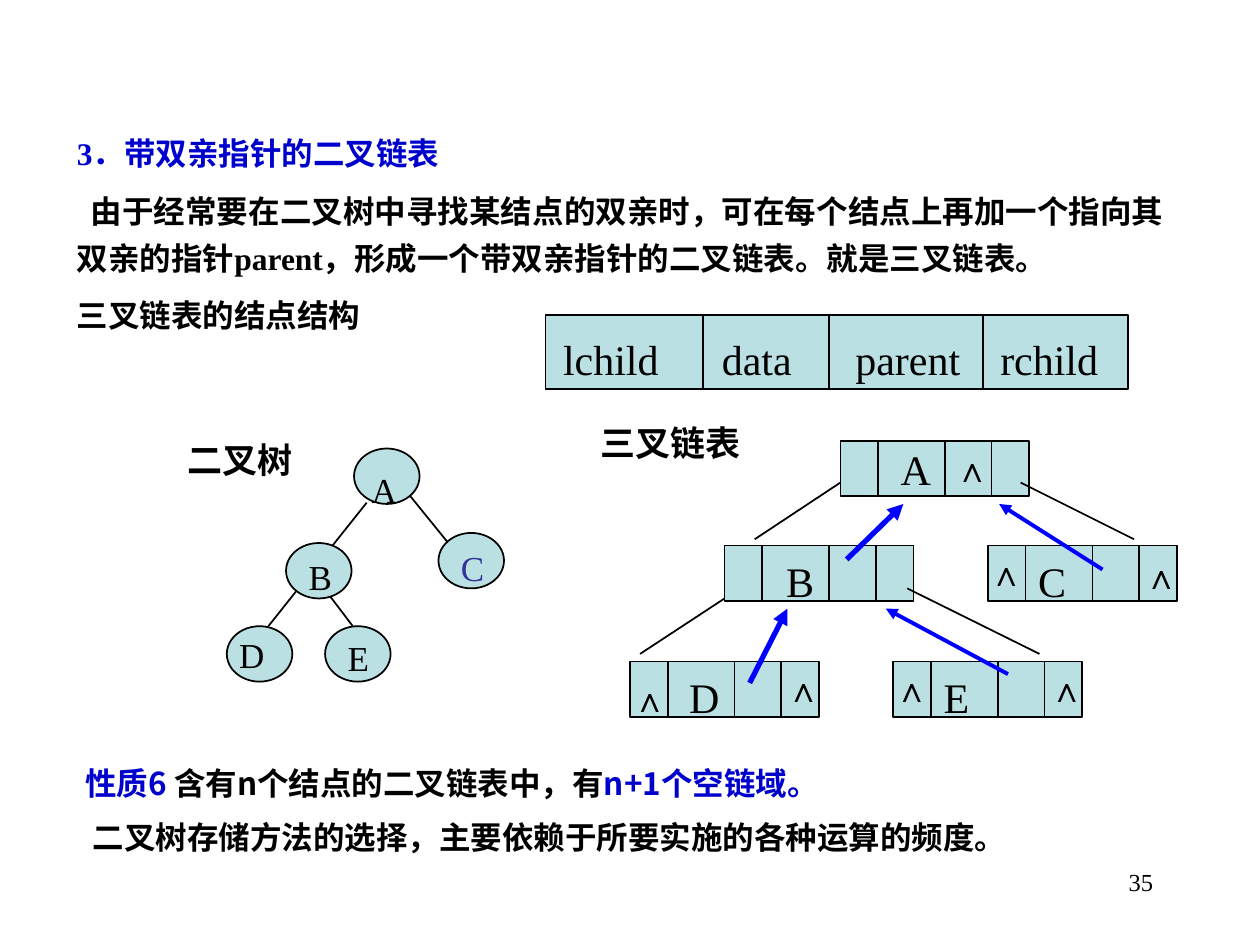
from dataclasses import dataclass

from lxml.etree import SubElement
from pptx import Presentation
from pptx.dml.color import RGBColor
from pptx.enum.shapes import MSO_CONNECTOR as CONN, MSO_SHAPE as SHAPE
from pptx.enum.text import MSO_ANCHOR as ANCHOR, MSO_AUTO_SIZE as AUTOSIZE, PP_ALIGN as ALIGN
from pptx.oxml.ns import qn
from pptx.util import Inches, Pt


@dataclass(frozen=True)
class Theme:
    latin: str = "Times New Roman"
    cjk: str = "Noto Sans CJK SC"
    ink: str = "000000"
    heading: str = "0000CC"
    accent: str = "333399"
    pointer: str = "0000FF"
    fill: str = "BBE0E3"
    cell: int = 24
    label: int = 20
    text: int = 18
    number: int = 14
    leading: int = 27


T = Theme()
WEDGE = "∧"
FIELD_STOPS = (1.25, 2.25, 3.47)
RECORD_STOPS = (0.3, 0.83, 1.2)
RECORD_SIZE = (1.5, 0.44)
RECORDS = [
    ("E", 7.09, 5.25, (0.3, 0.03), [(-0.09, 0), (1.14, 0)]),
    ("D", 5, 5.25, (0.37, 0.03), [(-0.08, 0.08), (1.14, 0)]),
    ("C", 7.84, 4.33, (0.3, 0.03), [(-0.09, 0), (1.14, 0.02)]),
    ("A", 6.67, 3.5, (0.38, -0.03), [(0.81, 0)]),
    ("B", 5.75, 4.33, (0.39, 0.03), []),
]
BRANCHES = [
    (8.1, 3.83, 9, 4.28), (6.67, 3.83, 5.99, 4.28),
    (5.75, 4.75, 5.08, 5.19), (7.2, 4.67, 8.25, 5.19),
]
PARENT_ARROWS = [
    (8.75, 4.52, 7.93, 4, 2.25), (8, 5.35, 7.03, 4.83, 2.25),
    (6.72, 4.44, 7.17, 4, 3), (5.95, 5.42, 6.25, 4.83, 3),
]
TREE_EDGES = [(3.25, 3.93, 3.55, 4.3), (2.91, 3.99, 2.13, 4.97), (2.58, 4.68, 2.8, 4.97)]
TREE_NODES = [
    ("A", 2.81, 3.56, 2.85, 3.67, T.ink),
    ("C", 3.48, 4.23, 3.56, 4.29, T.accent),
    ("D", 1.8, 4.97, 1.8, 4.98, T.ink),
    ("E", 2.58, 4.97, 2.66, 5, T.ink),
    ("B", 2.27, 4.31, 2.35, 4.36, T.ink),
]


def assign(obj, **values):
    for name, value in values.items():
        setattr(obj, name, value)


def place(sp, x, y, w, h):
    assign(sp, left=Inches(x), top=Inches(y), width=Inches(w), height=Inches(h))


def add_run(p, text, size, color=T.ink, bold=False, latin=T.latin):
    r = p.add_run()
    r.text = text
    assign(r.font, size=Pt(size), bold=bold, name=latin)
    r.font.color.rgb = RGBColor.from_string(color)
    SubElement(r.font._element, qn("a:ea")).set("typeface", T.cjk)


def fill_text(sp, paragraphs, align=ALIGN.LEFT):
    tf = sp.text_frame
    assign(tf, word_wrap=True, auto_size=AUTOSIZE.NONE, vertical_anchor=ANCHOR.TOP)
    for i, (indent, before, runs) in enumerate(paragraphs):
        p = tf.add_paragraph() if i else tf.paragraphs[0]
        assign(p, alignment=align, line_spacing=Pt(T.leading), space_before=Pt(before))
        pPr = p._p.get_or_add_pPr()
        pPr.set("marL", "0")
        pPr.set("indent", str(Inches(indent)))
        SubElement(pPr, qn("a:buNone"))
        for text, color, latin in runs:
            add_run(p, text, T.text, color, True, latin)


def add_label(s, text, x, y, w=0.52, h=0.5, size=T.cell, color=T.ink,
              bold=False, align=ALIGN.LEFT, tabs=()):
    sp = s.shapes.add_textbox(*map(Inches, (x, y, w, h)))
    tf = sp.text_frame
    tf.word_wrap = True
    p = tf.paragraphs[0]
    p.alignment = align
    if tabs:
        tab_list = SubElement(p._p.get_or_add_pPr(), qn("a:tabLst"))
        for pos in tabs:
            tab = SubElement(tab_list, qn("a:tab"))
            tab.set("pos", str(Inches(pos)))
            tab.set("algn", "l")
    add_run(p, text, size, color, bold)


def add_box(s, kind, x, y, w, h):
    sp = s.shapes.add_shape(kind, *map(Inches, (x, y, w, h)))
    sp.shadow.inherit = False
    sp.fill.solid()
    sp.fill.fore_color.rgb = RGBColor.from_string(T.fill)
    sp.line.color.rgb = RGBColor.from_string(T.ink)
    sp.line.width = Pt(1)


def add_line(s, x1, y1, x2, y2, width=1, color=T.ink, arrow=False):
    cx = s.shapes.add_connector(CONN.STRAIGHT, *map(Inches, (x1, y1, x2, y2)))
    cx.line.color.rgb = RGBColor.from_string(color)
    cx.line.width = Pt(width)
    if arrow:
        SubElement(cx.line._get_or_add_ln(), qn("a:tailEnd")).set("type", "triangle")
    SubElement(cx._element.spPr, qn("a:effectLst"))


def add_cells(s, x, y, w, h, stops):
    add_box(s, SHAPE.RECTANGLE, x, y, w, h)
    for dx in stops:
        add_line(s, x + dx, y, x + dx, y + h)


def add_record(s, name, x, y, offset, wedges):
    add_cells(s, x, y, *RECORD_SIZE, RECORD_STOPS)
    add_label(s, name, x + offset[0], y + offset[1])
    for dx, dy in wedges:
        add_label(s, WEDGE, x + dx, y + dy, h=0.44, size=T.label, bold=True)


def add_tree(s):
    for edge in TREE_EDGES:
        add_line(s, *edge)
    for name, x, y, text_x, text_y, color in TREE_NODES:
        add_box(s, SHAPE.OVAL, x, y, 0.52, 0.44)
        add_label(s, name, text_x, text_y, h=0.44, size=T.label, color=color)
    add_label(s, "二叉树", 1.39, 3.43, 1.57, size=T.label, bold=True)


def add_linked_list(s):
    for record in RECORDS:
        add_record(s, *record)
    for branch in BRANCHES:
        add_line(s, *branch)
    for x1, y1, x2, y2, width in PARENT_ARROWS:
        add_line(s, x1, y1, x2, y2, width, T.pointer, arrow=True)
    add_label(s, "三叉链表", 4.67, 3.3, 1.67, 0.44, T.label, bold=True)


def add_texts(s):
    title, body = s.shapes.title, s.placeholders[1]
    place(title, 0.51, 0.94, 8.83, 0.45)
    fill_text(title, [(0, 0, [("3．带双亲指针的二叉链表", T.heading, T.latin)])])
    place(body, 0.51, 1.4, 8.83, 1.28)
    fill_text(body, [
        (0.11, 0, [
            ("由于经常要在二叉树中寻找某结点的双亲时，可在每个结点上再加一个指向其双亲的指针", T.ink, T.cjk),
            ("parent", T.ink, T.latin),
            ("，形成一个带双亲指针的二叉链表。就是三叉链表。", T.ink, T.cjk)]),
        (0, 5.4, [("三叉链表的结点结构", T.ink, T.cjk)]),
    ], ALIGN.JUSTIFY)
    notes = s.shapes.add_textbox(*map(Inches, (0.58, 5.94, 9, 0.88)))
    fill_text(notes, [
        (0, 0, [("性质6 ", T.heading, T.cjk),
                ("含有n个结点的二叉链表中，有", T.ink, T.cjk),
                ("n+1个空链域。", T.heading, T.cjk)]),
        (0.06, 4, [("二叉树存储方法的选择，主要依赖于所要实施的各种运算的频度。", T.ink, T.cjk)]),
    ])
    add_label(s, "35", 7.17, 6.83, 2.08, size=T.number, align=ALIGN.RIGHT)


def main():
    prs = Presentation()
    assign(prs, slide_width=Inches(10), slide_height=Inches(7.5))
    s = prs.slides.add_slide(prs.slide_layouts[1])
    add_texts(s)
    add_cells(s, 4.33, 2.5, 4.62, 0.59, FIELD_STOPS)
    add_label(s, "lchild\tdata\tparent\trchild", 4.37, 2.6, 4.58, tabs=(1.26, 2.32, 3.47))
    add_tree(s)
    add_linked_list(s)
    prs.save("out.pptx")


if __name__ == "__main__":
    main()
